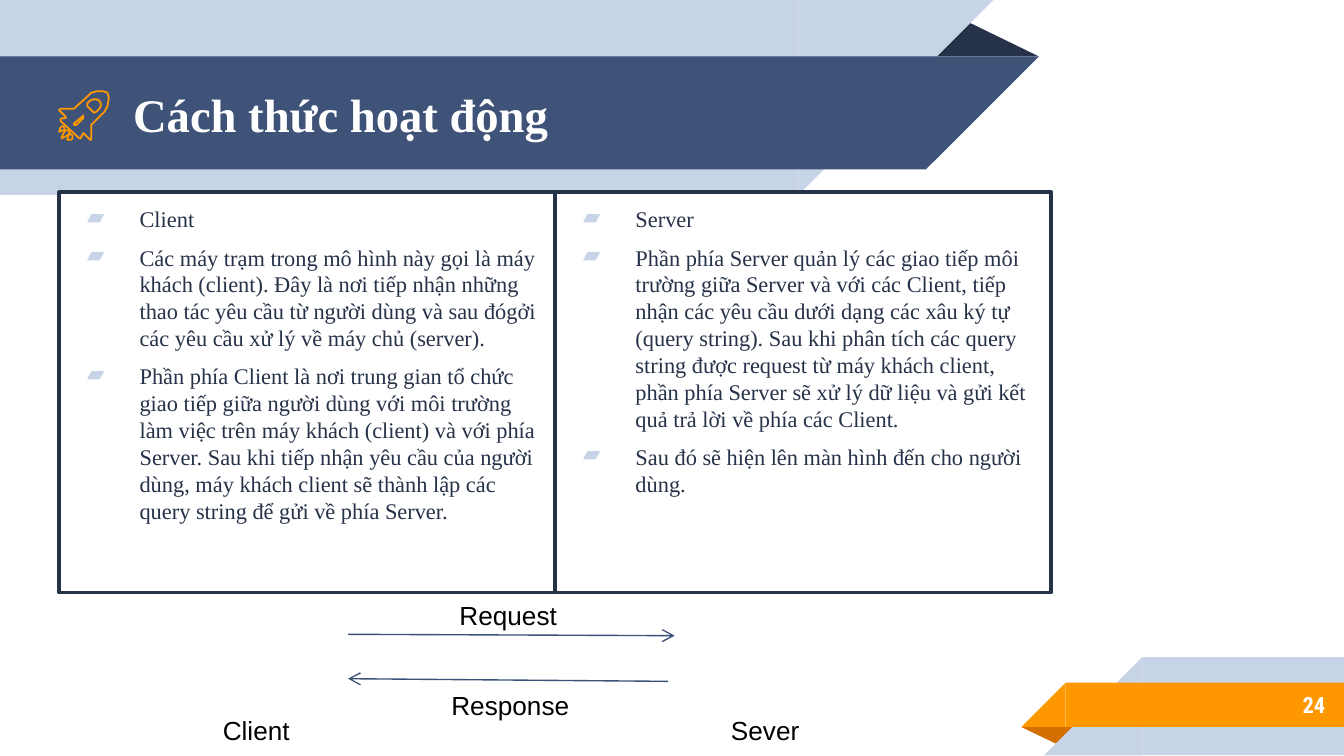
from dataclasses import dataclass

from lxml import etree
from pptx import Presentation
from pptx.dml.color import RGBColor
from pptx.enum.shapes import MSO_CONNECTOR, MSO_SHAPE
from pptx.enum.text import MSO_ANCHOR, MSO_AUTO_SIZE, PP_ALIGN
from pptx.oxml.ns import qn
from pptx.util import Inches, Pt

RECTANGLE = MSO_SHAPE.RECTANGLE
CORNER = MSO_SHAPE.RIGHT_TRIANGLE
FOLD = MSO_SHAPE.ISOSCELES_TRIANGLE
STRAIGHT = MSO_CONNECTOR.STRAIGHT
TOP, MIDDLE = MSO_ANCHOR.TOP, MSO_ANCHOR.MIDDLE
LEFT, RIGHT = PP_ALIGN.LEFT, PP_ALIGN.RIGHT
FIXED, FIT_SHAPE = MSO_AUTO_SIZE.NONE, MSO_AUTO_SIZE.SHAPE_TO_FIT_TEXT

COLORS = {
    "navy": "263248", "blue": "3F5378", "pale": "C7D3E6", "arrow": "3C5177",
    "orange": "FF9800", "rust": "D26F00", "white": "FFFFFF", "black": "000000",
}
SERIF = "Times New Roman"
PAGE_WIDTH = 10
PAGE_HEIGHT = PAGE_WIDTH * 9 / 16


@dataclass
class RibbonPart:
    kind: int
    left: float
    top: float
    width: float
    height: float
    color: str
    rotation: int = 0
    flip: bool = False


@dataclass
class Panel:
    left: float
    paragraphs: list[str]


@dataclass
class Arrow:
    start: tuple[float, float]
    end: tuple[float, float]


@dataclass
class Label:
    text: str
    left: float
    top: float
    width: float


RIBBONS = [
    RibbonPart(FOLD, 6.88, 0.14, 0.85, 0.28, "navy"),
    RibbonPart(RECTANGLE, 0, 0, 5.94, 1.45, "pale", 180, True),
    RibbonPart(CORNER, 5.94, 0, 1.45, 1.45, "pale", 180, True),
    RibbonPart(RECTANGLE, 0, 0.42, 6.89, 0.84, "blue", 180, True),
    RibbonPart(CORNER, 6.89, 0.42, 0.84, 0.84, "blue", 180, True),
    RibbonPart(FOLD, 7.6, 5.41, 0.43, 0.14, "rust", 180),
    RibbonPart(RECTANGLE, 8.5, 4.89, 1.5, 0.73, "pale", 0, True),
    RibbonPart(CORNER, 7.77, 4.89, 0.73, 0.73, "pale", 0, True),
    RibbonPart(RECTANGLE, 7.93, 5.08, 2.08, 0.33, "orange", 0, True),
    RibbonPart(CORNER, 7.6, 5.08, 0.33, 0.33, "orange", 0, True),
]
PANELS = [
    Panel(4.13, [
        "Server",
        "Phần phía Server quản lý các giao tiếp môi trường giữa Server và với các Client, tiếp nhận các yêu cầu dưới dạng các xâu ký tự (query string). Sau khi phân tích các query string được request từ máy khách client, phần phía Server sẽ xử lý dữ liệu và gửi kết quả trả lời về phía các Client.",
        "Sau đó sẽ hiện lên màn hình đến cho người dùng.",
    ]),
    Panel(0.44, [
        "Client",
        "Các máy trạm trong mô hình này gọi là máy khách (client). Đây là nơi tiếp nhận những thao tác yêu cầu từ người dùng và sau đógởi các yêu cầu xử lý về máy chủ (server).",
        "Phần phía Client là nơi trung gian tổ chức giao tiếp giữa người dùng với môi trường làm việc trên máy khách (client) và với phía Server. Sau khi tiếp nhận yêu cầu của người dùng, máy khách client sẽ thành lập các query string để gửi về phía Server.",
    ]),
]
ARROWS = [Arrow((2.59, 4.72), (5.02, 4.73)), Arrow((4.97, 5.07), (2.59, 5.05))]
LABELS = [
    Label("Client", 1.56, 5.27, 0.7),
    Label("Sever", 5.34, 5.27, 0.71),
    Label("Request", 3.32, 4.41, 0.93),
    Label("Response", 3.26, 5.08, 1.08),
]
# Rocket outlines, in hundredths of an inch
ROCKET = [
    [  # hull, slot and window
        [(68, 104), (68, 93), (78, 83), (80, 79), (81, 73), (80, 69), (77, 68),
         (72, 68), (68, 69), (66, 71), (55, 81), (45, 81), (44, 82), (49, 87),
         (49, 88), (46, 88), (45, 89), (45, 90), (59, 103), (60, 103), (62, 99),
         (67, 104)],
        [(57, 93), (56, 93), (55, 93), (55, 92), (61, 87), (62, 86), (62, 88)],
        [(72, 83), (70, 84), (69, 83), (65, 79), (65, 77), (67, 75), (69, 74),
         (72, 74), (74, 75), (75, 77), (75, 79), (74, 81)],
    ],
    [[(51, 97), (49, 97), (48, 98), (46, 102), (46, 103), (50, 101), (51, 100),
      (52, 99)]],
    [[(54, 101), (53, 100), (52, 100), (51, 101), (50, 104), (53, 104), (54, 103)]],
    [[(48, 95), (47, 94), (46, 94), (45, 95), (44, 98), (47, 97), (48, 97)]],
]


def rgb(name: str) -> RGBColor:
    return RGBColor.from_string(COLORS[name])


def write_text(shape, paragraphs: list[str], *, size: float, font: str, color: str,
               bold=False, align=LEFT, anchor=TOP, margin=0.1, bullets=False,
               wrap=True, fit=FIXED) -> None:
    frame = shape.text_frame
    frame.word_wrap = wrap
    frame.auto_size = fit
    frame.vertical_anchor = anchor
    frame.margin_left = frame.margin_right = Inches(0.1)
    frame.margin_top = frame.margin_bottom = Inches(margin)
    for index, text in enumerate(paragraphs):
        para = frame.paragraphs[0] if index == 0 else frame.add_paragraph()
        para.alignment = align
        para.space_before = Pt(6 if index else 0)
        if bullets:
            add_bullet(para)
        span = para.add_run()
        span.text = text
        span.font.size, span.font.name, span.font.bold = Pt(size), font, bold
        span.font.color.rgb = rgb(color)


def add_bullet(para) -> None:
    properties = para._p.get_or_add_pPr()
    properties.set("marL", str(Inches(0.5)))
    properties.set("indent", str(Inches(-0.39)))
    bullet_color = etree.SubElement(properties, qn("a:buClr"))
    etree.SubElement(bullet_color, qn("a:srgbClr"), val=COLORS["pale"])
    etree.SubElement(properties, qn("a:buChar"), char="▰")


def draw_ribbon(page, part: RibbonPart) -> None:
    shape = page.shapes.add_shape(part.kind, Inches(part.left), Inches(part.top),
                                  Inches(part.width), Inches(part.height))
    shape.shadow.inherit = False
    shape.fill.solid()
    shape.fill.fore_color.rgb = rgb(part.color)
    shape.line.fill.background()
    shape.rotation = part.rotation
    if part.kind == FOLD:
        shape.adjustments[0] = 0.324
    if part.flip:
        shape._element.spPr.find(qn("a:xfrm")).set("flipH", "1")


def draw_panel(page, panel: Panel) -> None:
    box = page.shapes.add_shape(RECTANGLE, Inches(panel.left), Inches(1.43),
                                Inches(3.69), Inches(2.98))
    box.shadow.inherit = False
    box.fill.solid()
    box.fill.fore_color.rgb = rgb("white")
    box.line.color.rgb = rgb("navy")
    box.line.width = Pt(2)
    write_text(box, panel.paragraphs, size=12, font=SERIF, color="navy", bullets=True)


def draw_arrow(page, arrow: Arrow) -> None:
    line = page.shapes.add_connector(STRAIGHT, *map(Inches, arrow.start + arrow.end))
    line.line.color.rgb = rgb("arrow")
    line.line.width = Pt(0.75)
    etree.SubElement(line.line._get_or_add_ln(), qn("a:tailEnd"), type="arrow")
    etree.SubElement(line._element.spPr, qn("a:effectLst"))


def draw_label(page, label: Label) -> None:
    box = page.shapes.add_textbox(Inches(label.left), Inches(label.top),
                                  Inches(label.width), Inches(0.34))
    write_text(box, [label.text], size=14, font="Arial", color="black", margin=0.05,
               wrap=False, fit=FIT_SHAPE)


def draw_outline(page, contours: list[list[tuple[int, int]]]) -> None:
    builder = page.shapes.build_freeform(*contours[0][0], scale=Inches(0.01))
    for index, points in enumerate(contours):
        if index:
            builder.move_to(*points[0])
        builder.add_line_segments(points[1:], close=True)
    shape = builder.convert_to_shape()
    shape.shadow.inherit = False
    shape.fill.background()
    shape.line.color.rgb = rgb("orange")
    shape.line.width = Pt(0.96)


def main() -> None:
    deck = Presentation()
    deck.slide_width, deck.slide_height = Inches(PAGE_WIDTH), Inches(PAGE_HEIGHT)
    page = deck.slides.add_slide(deck.slide_layouts[5])
    title = page.shapes.title
    for part in RIBBONS:
        draw_ribbon(page, part)
    page.shapes._spTree.append(title._element)
    title.left, title.top = Inches(0.89), Inches(0.43)
    title.width, title.height = Inches(5.75), Inches(0.84)
    write_text(title, ["Cách thức hoạt động"], size=25, font=SERIF, color="white",
               bold=True, anchor=MIDDLE)
    for panel in PANELS:
        draw_panel(page, panel)
    number = page.shapes.add_textbox(Inches(8.33), Inches(5.07), Inches(1.63), Inches(0.35))
    write_text(number, ["24"], size=12, font="Roboto Condensed", color="white",
               bold=True, align=RIGHT, anchor=MIDDLE)
    for arrow in ARROWS:
        draw_arrow(page, arrow)
    for label in LABELS:
        draw_label(page, label)
    for contours in ROCKET:
        draw_outline(page, contours)
    deck.save("out.pptx")


if __name__ == "__main__":
    main()
